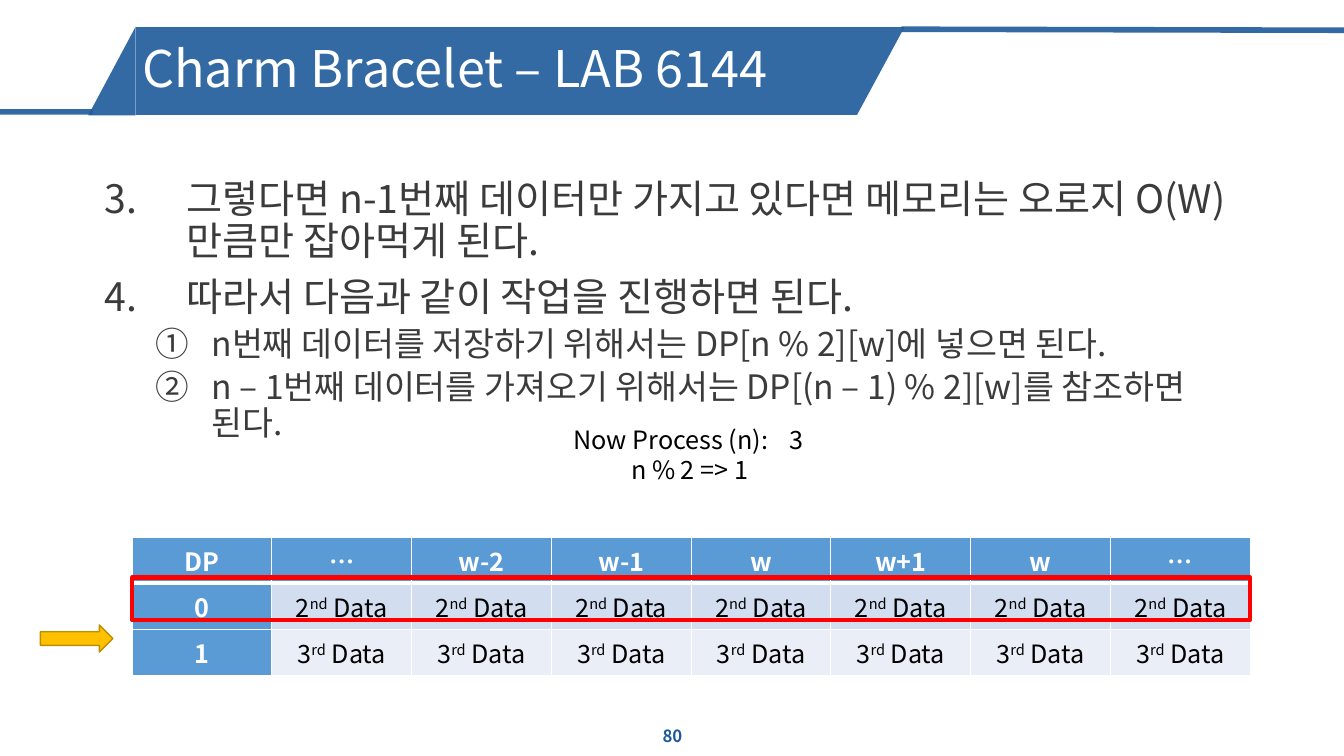
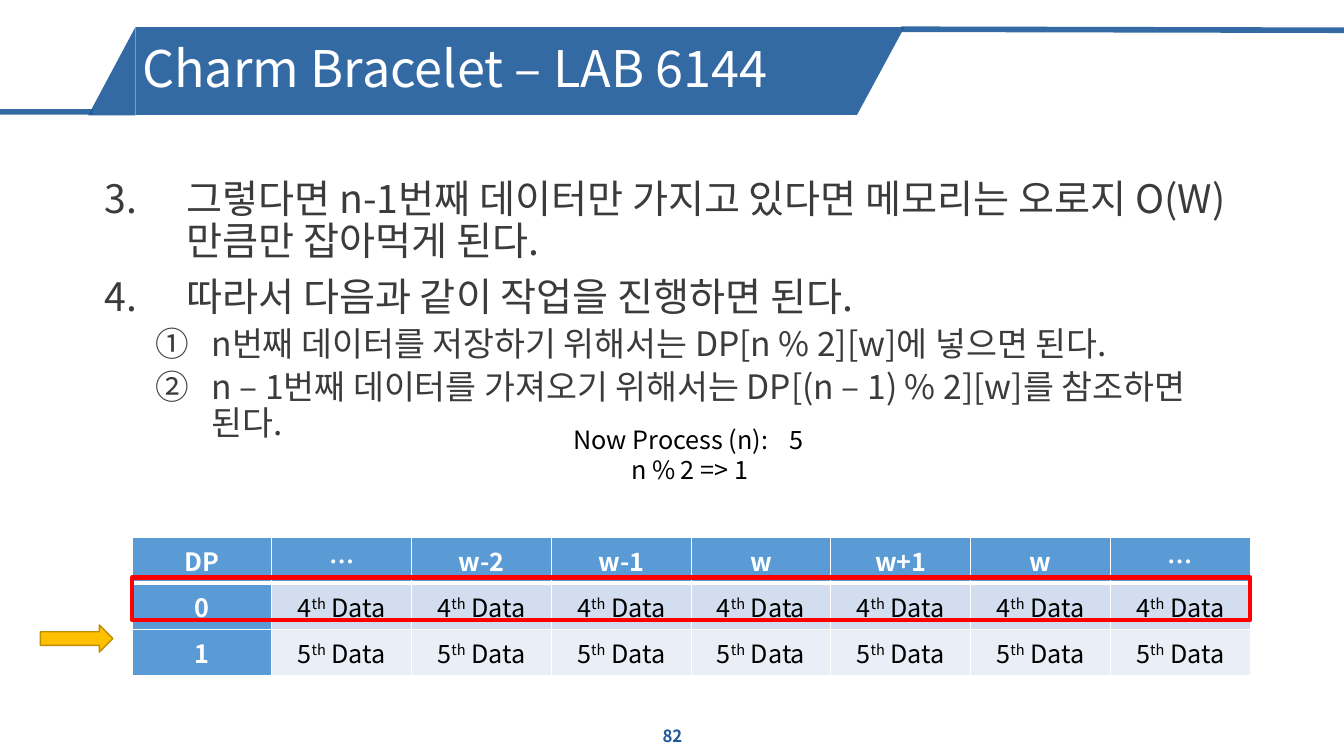
from lxml.etree import SubElement
from pptx import Presentation
from pptx.dml.color import RGBColor
from pptx.enum.shapes import MSO_CONNECTOR as Conn, MSO_SHAPE as Shape
from pptx.enum.text import MSO_ANCHOR as Anchor, PP_ALIGN as Align
from pptx.oxml.ns import qn
from pptx.util import Inches, Pt

FONT = "Noto Sans CJK KR"
BLUE = RGBColor(0x1E, 0x5A, 0x9B)
WHITE = RGBColor(0xFF, 0xFF, 0xFF)
BLACK = RGBColor(0, 0, 0)
GRAY = RGBColor(0x3B, 0x3B, 0x3B)
HEAD = RGBColor(0x5B, 0x9B, 0xD5)
BANDS = RGBColor(0xD2, 0xDE, 0xEF), RGBColor(0xEA, 0xEF, 0xF7)
RED = RGBColor(0xFF, 0, 0)
GOLD = RGBColor(0xFF, 0xC0, 0)
DARK_GOLD = RGBColor(0xBD, 0x8E, 0)

TITLE = "Charm Bracelet – LAB 6144"
STEPS = [
    (0, "그렇다면 n-1번째 데이터만 가지고 있다면 메모리는 오로지 O(W)만큼만 잡아먹게 된다."),
    (0, "따라서 다음과 같이 작업을 진행하면 된다."),
    (1, "n번째 데이터를 저장하기 위해서는 DP[n % 2][w]에 넣으면 된다."),
    (1, "n – 1번째 데이터를 가져오기 위해서는 DP[(n – 1) % 2][w]를 참조하면 된다."),
]
LEVELS = [
    dict(size=28, before=10, left=0.81, hang=0.81, num=dict(type="arabicPeriod", startAt="3")),
    dict(size=24, before=5, left=1.06, hang=0.56, num=dict(type="circleNumDbPlain")),
]
COLUMNS = ["DP", "…", "w-2", "w-1", "w", "w+1", "w", "…"]
SUFFIXES = {1: "st", 2: "nd", 3: "rd"}
TABLE_LEFT, TABLE_WIDTH = 1.31, 11.09


def write(p, text, size=18, color=BLACK, bold=False, raised=False):
    r = p.add_run()
    r.text = text
    r.font.size = Pt(size)
    r.font.bold = bold
    r.font.color.rgb = color
    r.font.name = FONT
    rPr = r.font._element
    SubElement(rPr, qn("a:ea"), typeface=FONT)
    if raised:
        rPr.set("baseline", "30000")


def fade(fill_owner):
    for clr in fill_owner.iter(qn("a:srgbClr")):
        SubElement(clr, qn("a:alpha"), val="90000")


class Deck:
    def __init__(self):
        self.prs = Presentation()
        self.prs.slide_width, self.prs.slide_height = Inches(13.33), Inches(7.5)
        self.s = None

    def slide(self, title, page):
        self.s = self.prs.slides.add_slide(self.prs.slide_layouts[5])
        self.band(Shape.RIGHT_TRIANGLE, 8.3, 0.47, 0.87, 0.47, 90)
        self.rule(0.92, 1.11, 0, 1.11)
        self.band(Shape.RIGHT_TRIANGLE, 0.67, 0.47, 0.88, 0.47, 270)
        self.rule(13.33, 0.3, 8.94, 0.29)
        self.band(Shape.RECTANGLE, 1.35, 0.27, 7.15, 0.87)
        self.title(title)
        p = self.text_box(5.17, 7.1, 3, 0.4, Anchor.MIDDLE).paragraphs[0]
        p.alignment = Align.CENTER
        write(p, str(page), size=12, color=BLUE, bold=True)

    def title(self, text):
        sp = self.s.shapes.title
        self.s.shapes.element.append(sp.element)
        sp.left, sp.top, sp.width, sp.height = map(Inches, (1.31, 0.3, 7.15, 0.81))
        tf = sp.text_frame
        tf.vertical_anchor = Anchor.MIDDLE
        p = tf.paragraphs[0]
        p.alignment = Align.LEFT
        p.line_spacing = 0.9
        write(p, text, size=36, color=WHITE)

    def shape(self, kind, x, y, w, h, fill=None, line=None, weight=1):
        sp = self.s.shapes.add_shape(kind, *map(Inches, (x, y, w, h)))
        sp.shadow.inherit = False
        if fill is None:
            sp.fill.background()
        else:
            sp.fill.solid()
            sp.fill.fore_color.rgb = fill
        if line is None:
            sp.line.fill.background()
        else:
            sp.line.color.rgb = line
            sp.line.width = Pt(weight)
        return sp

    def band(self, kind, x, y, w, h, turn=0):
        sp = self.shape(kind, x, y, w, h, fill=BLUE)
        sp.rotation = turn
        fade(sp.element.spPr)

    def rule(self, x1, y1, x2, y2):
        line = self.s.shapes.add_connector(Conn.STRAIGHT, *map(Inches, (x1, y1, x2, y2)))
        line.line.color.rgb = BLUE
        line.line.width = Pt(4)
        spPr = line._element.spPr
        fade(spPr)
        SubElement(spPr, qn("a:effectLst"))

    def text_box(self, x, y, w, h, anchor=Anchor.TOP):
        tf = self.s.shapes.add_textbox(*map(Inches, (x, y, w, h))).text_frame
        tf.word_wrap = True
        tf.vertical_anchor = anchor
        return tf

    def steps(self, items):
        tf = self.text_box(0.94, 1.73, 11.5, 4.97)
        for i, (level, text) in enumerate(items):
            style = LEVELS[level]
            p = tf.add_paragraph() if i else tf.paragraphs[0]
            p.level = level
            p.line_spacing = 0.9
            p.space_before = Pt(style["before"])
            pPr = p._p.get_or_add_pPr()
            pPr.set("marL", str(Inches(style["left"])))
            pPr.set("indent", str(-Inches(style["hang"])))
            SubElement(pPr, qn("a:buFont"), typeface="+mj-lt")
            SubElement(pPr, qn("a:buAutoNum"), **style["num"])
            write(p, text, size=style["size"], color=GRAY)

    def status(self, n):
        tf = self.text_box(5.59, 4.16, 2.5, 0.71)
        p = tf.paragraphs[0]
        tabs = SubElement(p._p.get_or_add_pPr(), qn("a:tabLst"))
        SubElement(tabs, qn("a:tab"), pos=str(Inches(2.14)), algn="l")
        write(p, f"Now Process (n):\t{n}")
        p = tf.add_paragraph()
        p.alignment = Align.CENTER
        write(p, f"n % 2 => {n % 2}")

    def cell(self, cell, fill, top=1, bottom=1):
        tcPr = cell._tc.get_or_add_tcPr()
        for side, weight in (("L", 1), ("R", 1), ("T", top), ("B", bottom)):
            ln = SubElement(tcPr, qn(f"a:ln{side}"), w=str(Pt(weight)))
            SubElement(SubElement(ln, qn("a:solidFill")), qn("a:srgbClr"), val=str(WHITE))
        cell.fill.solid()
        cell.fill.fore_color.rgb = fill
        p = cell.text_frame.paragraphs[0]
        p.alignment = Align.CENTER
        return p

    def table(self, numbers):
        size = len(numbers) + 1, len(COLUMNS)
        box = map(Inches, (TABLE_LEFT, 5.33, TABLE_WIDTH, 1.37))
        table = self.s.shapes.add_table(*size, *box).table
        for col, label in enumerate(COLUMNS):
            write(self.cell(table.cell(0, col), HEAD, bottom=3), label, color=WHITE, bold=True)
        for row, number in enumerate(numbers):
            top = 1 if row else 3
            p = self.cell(table.cell(row + 1, 0), HEAD, top)
            write(p, str(row), color=WHITE, bold=True)
            for col in range(1, len(COLUMNS)):
                p = self.cell(table.cell(row + 1, col), BANDS[row], top)
                write(p, str(number))
                write(p, SUFFIXES.get(number, "th"), raised=True)
                write(p, " Data")


def main():
    deck = Deck()
    for page, n in ((80, 3), (82, 5)):
        deck.slide(TITLE, page)
        deck.steps(STEPS)
        deck.table([n - 1, n])
        deck.status(n)
        deck.shape(Shape.RECTANGLE, TABLE_LEFT, 5.73, TABLE_WIDTH, 0.42, line=RED, weight=3)
        deck.shape(Shape.RIGHT_ARROW, 0.4, 6.2, 0.72, 0.27, fill=GOLD, line=DARK_GOLD)
    deck.prs.save("out.pptx")


if __name__ == "__main__":
    main()
